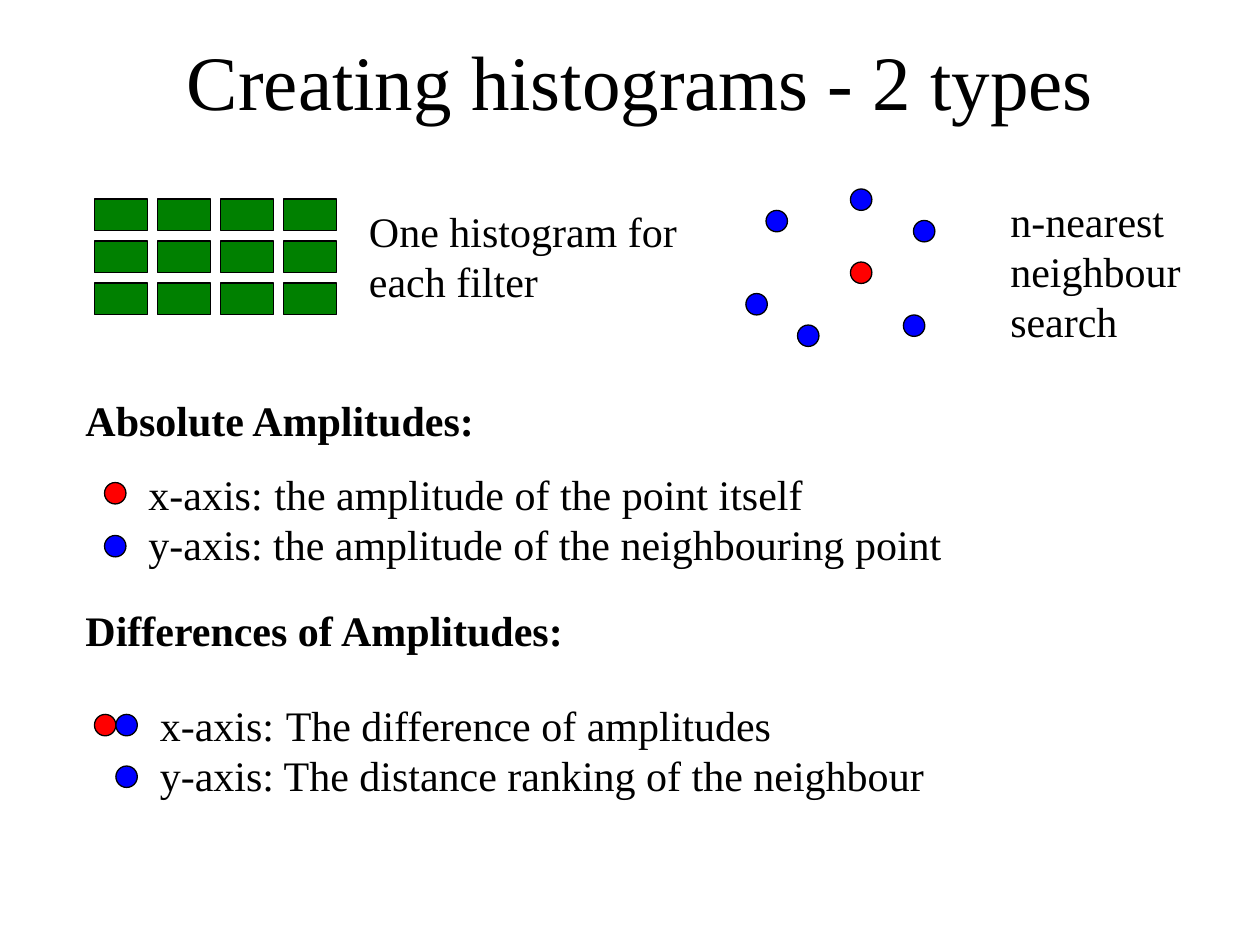
import itertools

import pptx
import pptx.dml.color
import pptx.enum.shapes
import pptx.enum.text
import pptx.util

Inches = pptx.util.Inches
Pt = pptx.util.Pt
SHAPES = pptx.enum.shapes.MSO_SHAPE
ALIGN = pptx.enum.text.PP_ALIGN
ANCHOR = pptx.enum.text.MSO_ANCHOR

COLORS = {"ink": "000000", "point": "FF0000", "neighbour": "0000FF", "filter": "008000"}
BODY = {"name": "Times New Roman", "size": Pt(24), "bold": False}
HEADING = {**BODY, "bold": True}
TITLE = {**BODY, "size": Pt(44)}
DOT = 0.17

NEIGHBOURS = [(6.08, 1.67), (5.92, 2.33), (7.25, 1.75),
              (6.75, 1.5), (6.33, 2.58), (7.17, 2.5)]
AXIS_DOTS = [("point", 0.83, 3.83), ("neighbour", 0.83, 4.25),
             ("point", 0.75, 5.67), ("neighbour", 0.92, 5.67),
             ("neighbour", 0.92, 6.08)]
TEXTS = [
    (["One histogram for each filter"], (2.83, 1.58, 3.08, 0.9), BODY),
    (["n-nearest neighbour search"], (7.92, 1.5, 2.33, 1.3), BODY),
    (["Absolute Amplitudes:"], (0.58, 3.08, 3.5, 0.5), HEADING),
    (["x-axis:\tthe amplitude of the point itself",
      "y-axis: the amplitude of the neighbouring point"], (1.08, 3.67, 6.5, 0.9), BODY),
    (["Differences of Amplitudes:"], (0.58, 4.75, 5.42, 0.5), HEADING),
    (["x-axis:\tThe difference of amplitudes",
      "y-axis: The distance ranking of the neighbour"], (1.17, 5.5, 6.5, 0.9), BODY),
]


def rgb(color):
    return pptx.dml.color.RGBColor.from_string(COLORS[color])


def apply(target, values):
    for attribute, value in values.items():
        setattr(target, attribute, value)


def add_text(slide, lines, box, style, align=ALIGN.LEFT):
    frame = slide.shapes.add_textbox(*map(Inches, box)).text_frame
    frame.word_wrap = True
    frame.text = "\n".join(lines)
    for paragraph in frame.paragraphs:
        paragraph.alignment = align
        apply(paragraph.font, style)
        paragraph.font.color.rgb = rgb("ink")
    return frame


def add_outlined(slide, kind, color, box):
    shape = slide.shapes.add_shape(kind, *map(Inches, box))
    shape.shadow.inherit = False
    shape.fill.solid()
    shape.fill.fore_color.rgb = rgb(color)
    shape.line.color.rgb = rgb("ink")
    shape.line.width = Pt(0.75)


def add_dot(slide, color, left, top):
    add_outlined(slide, SHAPES.OVAL, color, (left, top, DOT, DOT))


def add_filter_grid(slide, left, top, rows, columns):
    for row, column in itertools.product(range(rows), range(columns)):
        box = (left + column * 0.5, top + row / 3, 0.42, 0.25)
        add_outlined(slide, SHAPES.RECTANGLE, "filter", box)


def main():
    deck = pptx.Presentation()
    deck.slide_width, deck.slide_height = Inches(10), Inches(7.5)
    slide = deck.slides.add_slide(deck.slide_layouts[6])

    title = add_text(slide, ["Creating histograms - 2 types"],
                     (0.17, 0.33, 9.83, 1.25), TITLE, ALIGN.CENTER)
    apply(title, {"vertical_anchor": ANCHOR.MIDDLE, "margin_bottom": Inches(0.7)})

    for left, top in NEIGHBOURS:
        add_dot(slide, "neighbour", left, top)
    add_dot(slide, "point", 6.75, 2.08)
    for color, left, top in AXIS_DOTS:
        add_dot(slide, color, left, top)
    add_filter_grid(slide, 0.75, 1.58, rows=3, columns=4)
    for lines, box, style in TEXTS:
        add_text(slide, lines, box, style)

    deck.save("out.pptx")


if __name__ == "__main__":
    main()
